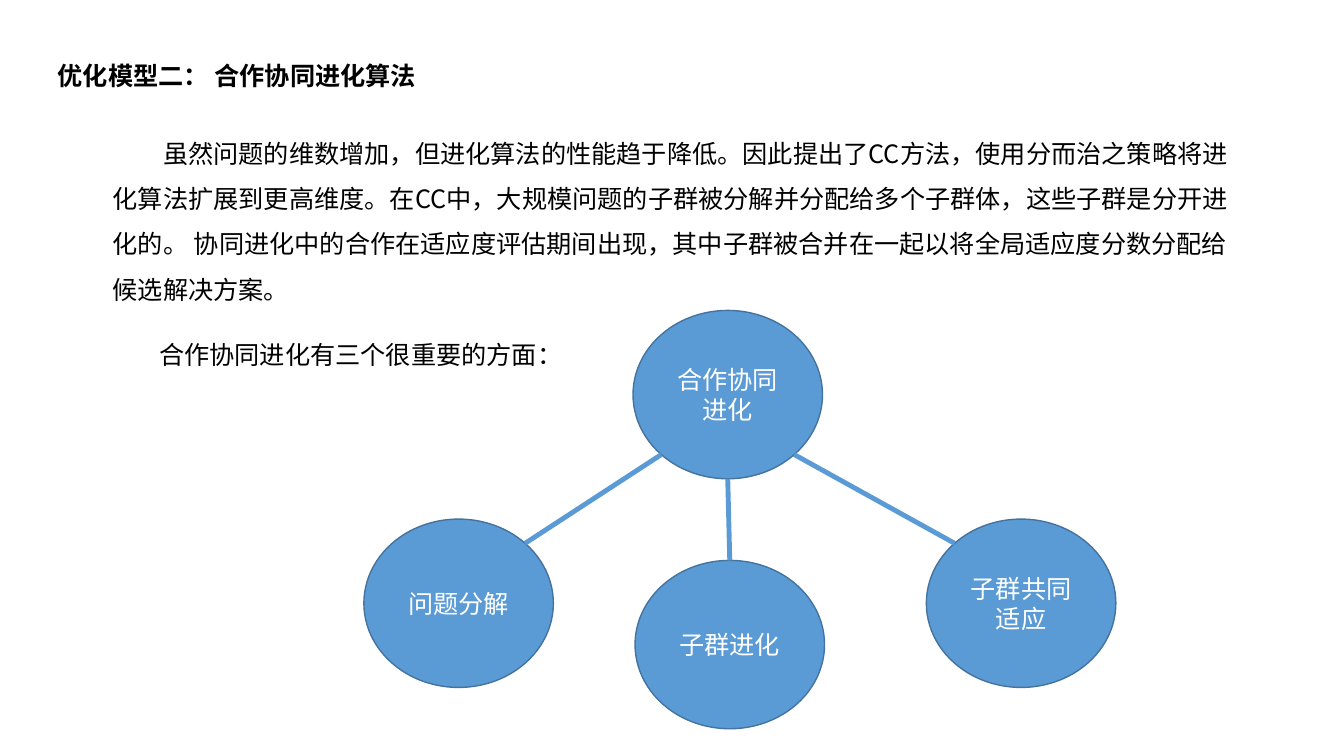
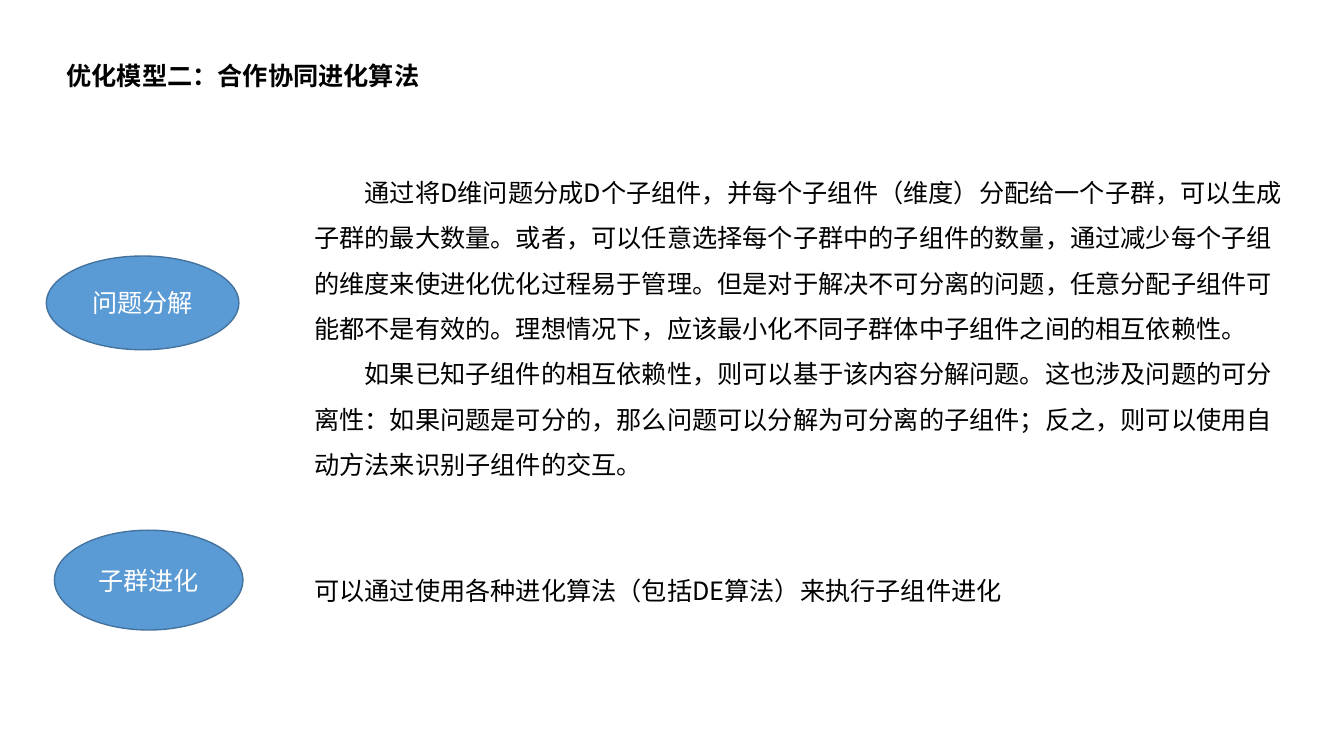
"""Build two slides on cooperative co-evolution algorithms."""
from dataclasses import dataclass
from math import cos, radians, sin

from lxml import etree
from pptx import Presentation
from pptx.dml.color import RGBColor
from pptx.enum.shapes import MSO_CONNECTOR, MSO_SHAPE
from pptx.enum.text import MSO_ANCHOR, MSO_AUTO_SIZE, PP_ALIGN
from pptx.oxml.ns import qn
from pptx.util import Emu, Pt

PX = 9144
SLIDE_H = 750
FONT = "Noto Sans CJK SC"
BLACK, WHITE, BLUE, EDGE = "000000", "FFFFFF", "5B9BD5", "43739E"
ELLIPSE, STRAIGHT = MSO_SHAPE.OVAL, MSO_CONNECTOR.STRAIGHT
CENTER, LEFT = PP_ALIGN.CENTER, PP_ALIGN.LEFT
TOP, MIDDLE, BOTTOM = MSO_ANCHOR.TOP, MSO_ANCHOR.MIDDLE, MSO_ANCHOR.BOTTOM
NO_FIT, GROW = MSO_AUTO_SIZE.NONE, MSO_AUTO_SIZE.SHAPE_TO_FIT_TEXT
TITLE_ONLY = 5
NODE_W, NODE_H = 188, 167


@dataclass(frozen=True)
class Oval:
    """A labelled ellipse, in px."""
    text: str
    x: int
    y: int
    w: int = NODE_W
    h: int = NODE_H

    def rim(self, degrees: int) -> tuple[int, int]:
        """Return the rim point at an angle clockwise from the right."""
        a = radians(degrees)
        return (round(self.x + self.w / 2 * (1 + cos(a))),
                round(self.y + self.h / 2 * (1 + sin(a))))


@dataclass(frozen=True)
class Branch:
    """A child node and the rim angles its line joins."""
    oval: Oval
    from_angle: int
    to_angle: int


ROOT = Oval("合作协同进化", 628, 308)
BRANCHES = (
    Branch(Oval("问题分解", 361, 515), 135, 315),
    Branch(Oval("子群进化", 630, 556), 90, 270),
    Branch(Oval("子群共同适应", 919, 515), 45, 225),
)
TOPICS = (
    Oval("问题分解", 46, 254, 191, 93),
    Oval("子群进化", 54, 526, 187, 99),
)
INTRO = (
    "虽然问题的维数增加，但进化算法的性能趋于降低。因此提出了CC方法，使用分而治之策略将"
    "进化算法扩展到更高维度。在CC中，大规模问题的子群被分解并分配给多个子群体，这些子群是分"
    "开进化的。 协同进化中的合作在适应度评估期间出现，其中子群被合并在一起以将全局适应度分数分"
    "配给候选解决方案。"
)
DECOMPOSITION = (
    "通过将D维问题分成D个子组件，并每个子组件（维度）分配给一个子群，可以生"
    "成子群的最大数量。或者，可以任意选择每个子群中的子组件的数量，通过减少每个子"
    "组的维度来使进化优化过程易于管理。但是对于解决不可分离的问题，任意分配子组件"
    "可能都不是有效的。理想情况下，应该最小化不同子群体中子组件之间的相互依赖性。",
    "如果已知子组件的相互依赖性，则可以基于该内容分解问题。这也涉及问题的可分"
    "离性：如果问题是可分的，那么问题可以分解为可分离的子组件；反之，则可以使用自"
    "动方法来识别子组件的交互。",
)


def px(n: int) -> Emu:
    """Convert px to EMU."""
    return Emu(n * PX)


def rgb(value: str) -> RGBColor:
    """Convert a hex string to a colour."""
    return RGBColor.from_string(value)


def write(tf, *texts: str, color: str = BLACK, bold: bool = False, align=LEFT,
          anchor=TOP, spacing: float = 1.0, indent: int = 0, fit=NO_FIT) -> None:
    """Fill a text frame with one paragraph per text."""
    tf.word_wrap = True
    tf.auto_size = fit
    tf.vertical_anchor = anchor
    for i, text in enumerate(texts):
        p = tf.add_paragraph() if i else tf.paragraphs[0]
        p.alignment = align
        p.line_spacing = spacing
        if indent:
            p._p.get_or_add_pPr().set("indent", str(px(indent)))
        r = p.add_run()
        r.text = text
        r.font.size = Pt(18)
        r.font.bold = bold
        r.font.color.rgb = rgb(color)
        r.font.name = FONT
        etree.SubElement(r._r.get_or_add_rPr(), qn("a:ea"), typeface=FONT)


def add_slide(prs, title: str, x: int):
    """Add a slide with its title at x."""
    s = prs.slides.add_slide(prs.slide_layouts[TITLE_ONLY])
    sp = s.shapes.title
    sp.left, sp.top, sp.width, sp.height = map(px, (x, 54, 384, 41))
    write(sp.text_frame, title, bold=True, align=CENTER, anchor=BOTTOM, spacing=0.9)
    return s


def add_text(s, x: int, y: int, w: int, h: int, *texts: str, **fmt) -> None:
    """Add a body text box that grows with its text."""
    sp = s.shapes.add_textbox(*map(px, (x, y, w, h)))
    write(sp.text_frame, *texts, fit=GROW, **fmt)


def add_oval(shapes, oval: Oval) -> None:
    """Draw a labelled ellipse."""
    sp = shapes.add_shape(ELLIPSE, *map(px, (oval.x, oval.y, oval.w, oval.h)))
    sp.shadow.inherit = False
    sp.fill.solid()
    sp.fill.fore_color.rgb = rgb(BLUE)
    sp.line.color.rgb = rgb(EDGE)
    sp.line.width = Pt(1)
    write(sp.text_frame, oval.text, color=WHITE, align=CENTER, anchor=MIDDLE)


def add_line(shapes, start: tuple[int, int], end: tuple[int, int]) -> None:
    """Draw a straight line between two points."""
    line = shapes.add_connector(STRAIGHT, *map(px, start + end))
    line.line.color.rgb = rgb(BLUE)
    line.line.width = Pt(3.5)
    etree.SubElement(line._element.spPr, qn("a:effectLst"))


def build_overview(prs) -> None:
    """Build the slide with the three aspects."""
    s = add_slide(prs, "优化模型二： 合作协同进化算法", 43)
    add_text(s, 102, 117, 1135, 192, INTRO, spacing=1.5, indent=50)
    add_text(s, 148, 332, 618, 40, "合作协同进化有三个很重要的方面：")
    tree = s.shapes.add_group_shape().shapes
    add_oval(tree, ROOT)
    for b in BRANCHES:
        add_oval(tree, b.oval)
        add_line(tree, ROOT.rim(b.from_angle), b.oval.rim(b.to_angle))


def build_details(prs) -> None:
    """Build the slide on decomposition and sub-population evolution."""
    s = add_slide(prs, "优化模型二：合作协同进化算法", 49)
    add_text(s, 302, 156, 981, 328, *DECOMPOSITION, spacing=1.5, indent=50)
    for topic in TOPICS:
        add_oval(s.shapes, topic)
    add_text(s, 302, 566, 704, 40, "可以通过使用各种进化算法（包括DE算法）来执行子组件进化")


def main() -> None:
    """Build and save the presentation."""
    prs = Presentation()
    prs.slide_height = px(SLIDE_H)
    prs.slide_width = Emu(prs.slide_height * 16 // 9)
    build_overview(prs)
    build_details(prs)
    prs.save("out.pptx")


if __name__ == "__main__":
    main()
